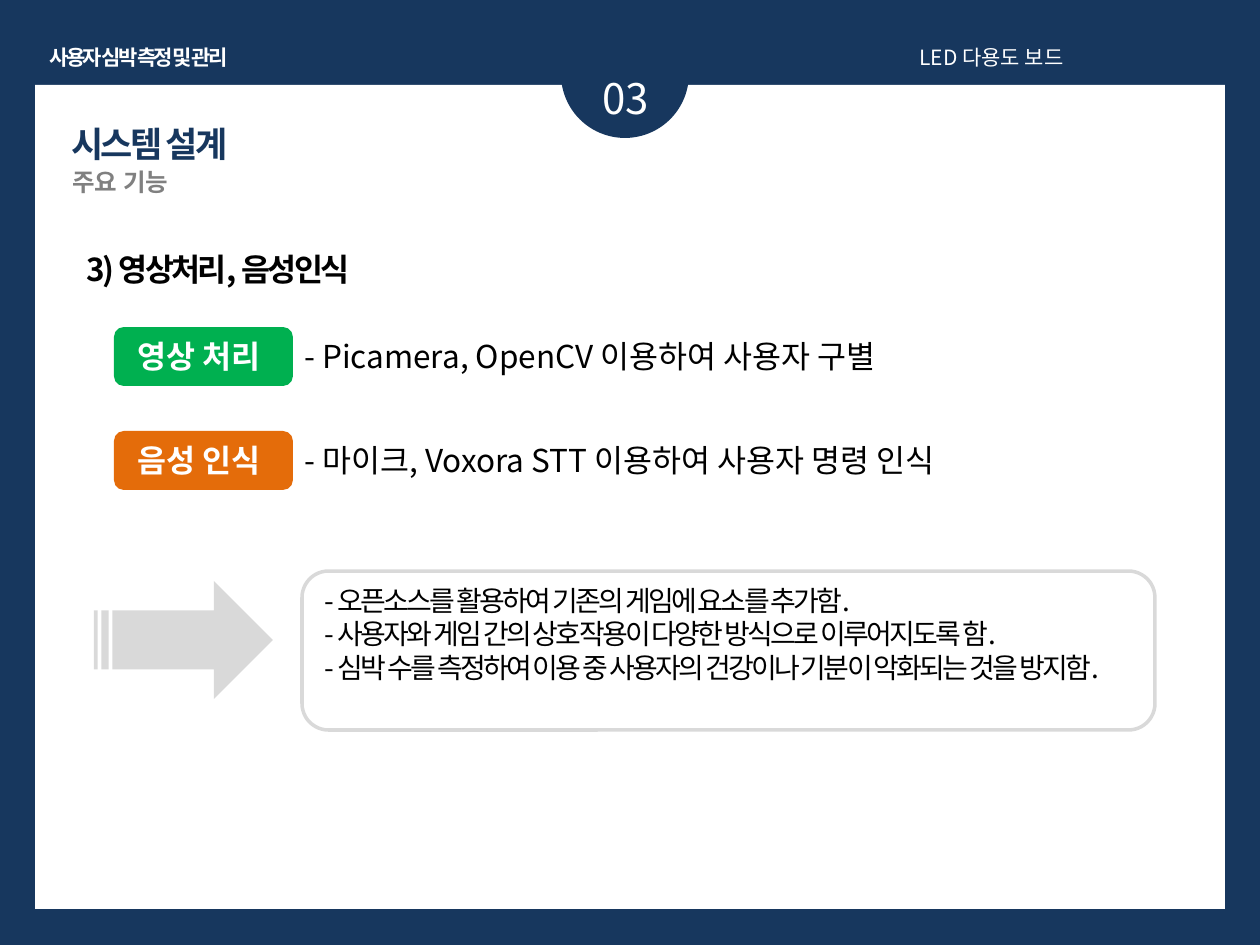
"""Build the system design slide on image processing and voice recognition."""
import dataclasses
import pptx
import pptx.util
import pptx.dml.color
import pptx.enum.shapes
import pptx.enum.text
import pptx.oxml
import pptx.oxml.ns


@dataclasses.dataclass(frozen=True)
class Theme:
    navy: str = "17375E"
    white: str = "FFFFFF"
    black: str = "000000"
    grey: str = "808080"
    pale: str = "D9D9D9"
    green: str = "00B050"
    orange: str = "E46C0A"
    font: str = "Noto Sans CJK KR"
    latin: str = "Arial"
    small: int = 12
    sub: int = 14
    note: int = 16
    body: int = 18
    title: int = 20
    number: int = 24
    tight: int = -150


look = Theme()
scale = 914400 / 126
kinds = pptx.enum.shapes.MSO_SHAPE
aligns = pptx.enum.text.PP_ALIGN
color = pptx.dml.color.RGBColor.from_string

deck = pptx.Presentation()
deck.slide_width = round(1260 * scale)
deck.slide_height = round(945 * scale)
slide = deck.slides.add_slide(deck.slide_layouts[6])
slide.background.fill.solid()
slide.background.fill.fore_color.rgb = color(look.navy)


def draw(kind, area, fill=None, line=None):
    shape = slide.shapes.add_shape(kind, *[round(n * scale) for n in area])
    shape.shadow.inherit = False
    if fill:
        shape.fill.solid()
        shape.fill.fore_color.rgb = color(fill)
    else:
        shape.fill.background()
    if line:
        shape.line.color.rgb = color(line)
        shape.line.width = pptx.util.Pt(2)
    else:
        shape.line.fill.background()


def write(text, area, size, tint, bold=False, tight=False,
          align=aligns.LEFT, wrap=True, font=look.font):
    box = slide.shapes.add_textbox(*[round(n * scale) for n in area])
    frame = box.text_frame
    frame.text = text
    frame.word_wrap = wrap
    for para in frame.paragraphs:
        para.alignment = align
        for run in para.runs:
            run.font.name = font
            run.font.size = pptx.util.Pt(size)
            run.font.bold = bold
            run.font.color.rgb = color(tint)
            props = run.font._element
            east = pptx.oxml.parse_xml(
                f'<a:ea {pptx.oxml.ns.nsdecls("a")} typeface="{look.font}"/>')
            props.find(pptx.oxml.ns.qn("a:latin")).addnext(east)
            if tight:
                props.set("spc", str(look.tight))


draw(kinds.RECTANGLE, (35, 85, 1190, 824), look.white)
draw(kinds.OVAL, (561, 10, 128, 128), look.navy)
write("03", (551, 66, 149, 63), look.number, look.white, align=aligns.CENTER)

write("사용자 심박 측정 및 관리", (23, 38, 231, 38), look.small, look.white,
      bold=True, tight=True, align=aligns.CENTER, wrap=False)
write("LED 다용도 보드", (907, 38, 328, 38), look.small, look.white,
      align=aligns.JUSTIFY)
write("시스템 설계", (59, 116, 238, 55), look.title, look.navy,
      bold=True, tight=True, font=look.latin)
write("주요 기능", (60, 161, 446, 43), look.sub, look.grey, bold=True)
write("3) 영상처리, 음성인식", (74, 244, 932, 50), look.body, look.black,
      bold=True, tight=True)

parts = [
    ("영상 처리", "- Picamera, OpenCV 이용하여 사용자 구별", look.green),
    ("음성 인식", "- 마이크, Voxora STT 이용하여 사용자 명령 인식", look.orange),
]
for row, (name, detail, fill) in enumerate(parts):
    top = 327 + 104 * row
    draw(kinds.ROUNDED_RECTANGLE, (114, top, 179, 59), fill)
    write(name, (125, top + 4, 169, 50), look.body, look.white, bold=True)
    write(detail, (292, top + 4, 843, 50), look.body, look.black)

draw(kinds.STRIPED_RIGHT_ARROW, (94, 581, 179, 118), look.pale)
draw(kinds.ROUNDED_RECTANGLE, (302, 571, 853, 159), line=look.pale)
notes = [
    "- 오픈소스를 활용하여 기존의 게임에 요소를 추가함.",
    "- 사용자와 게임 간의 상호작용이 다양한 방식으로 이루어지도록 함.",
    "- 심박 수를 측정하여 이용 중 사용자의 건강이나 기분이 악화되는 것을 방지함.",
]
write("\n".join(notes), (312, 577, 794, 149), look.note, look.black, tight=True)

deck.save("out.pptx")
